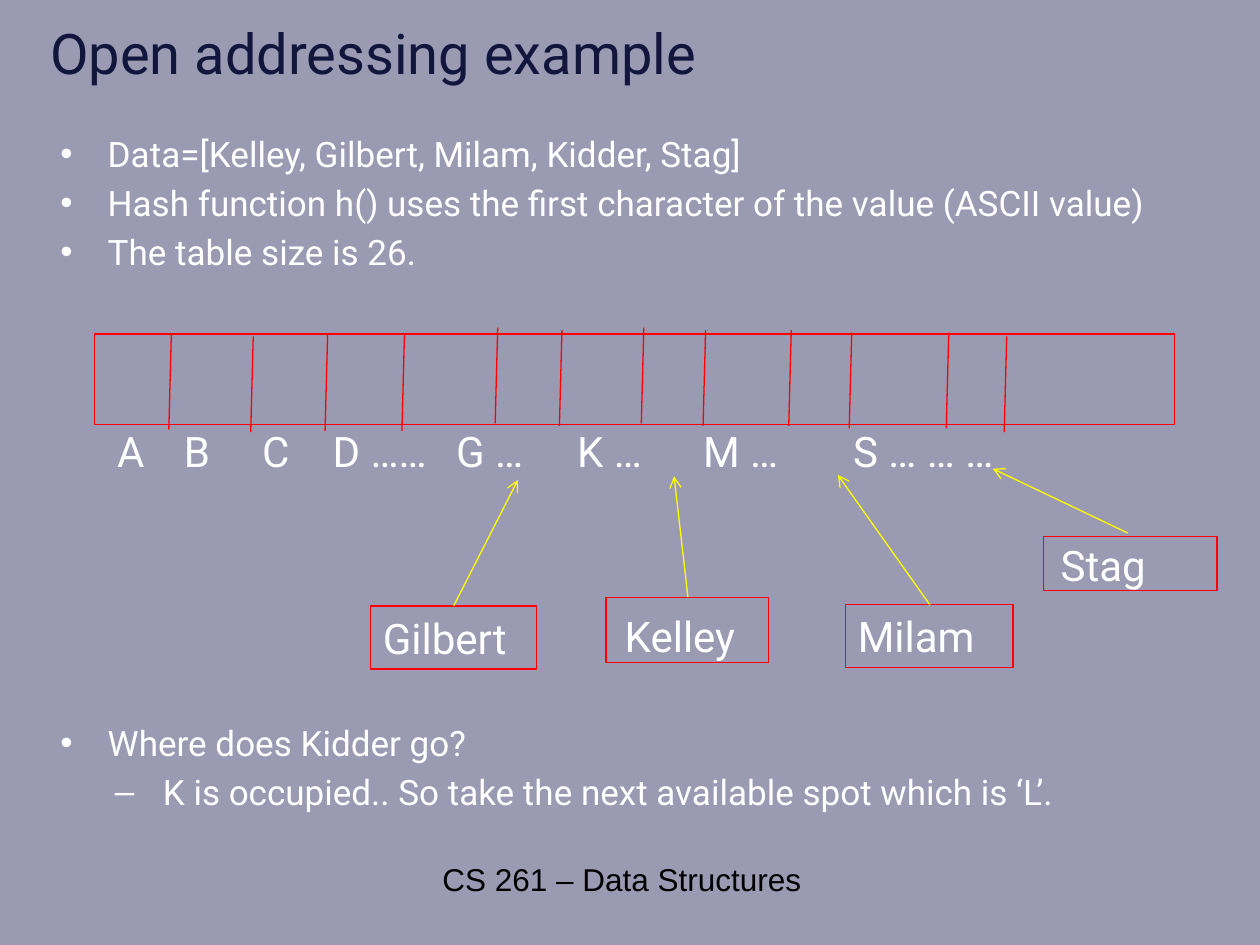
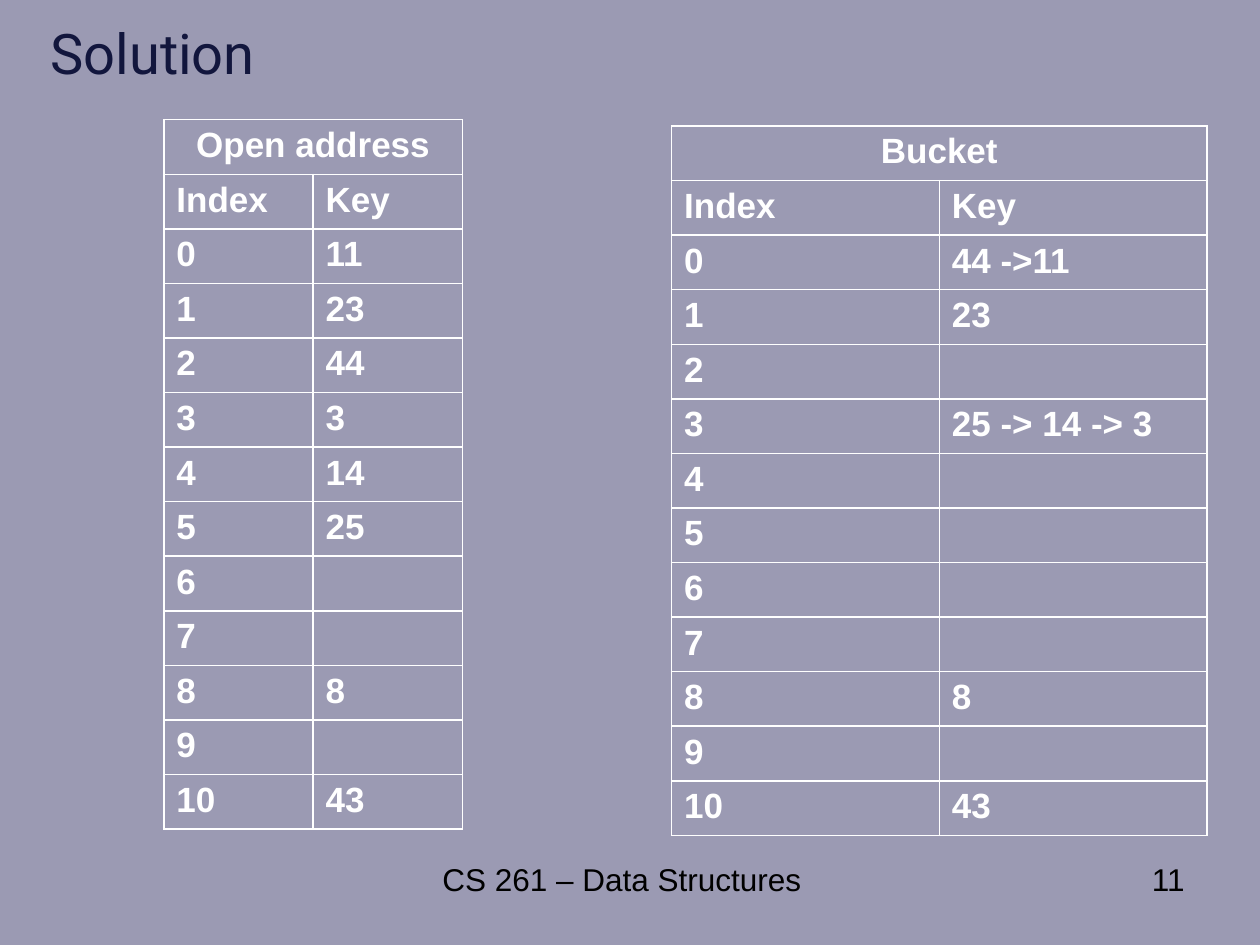
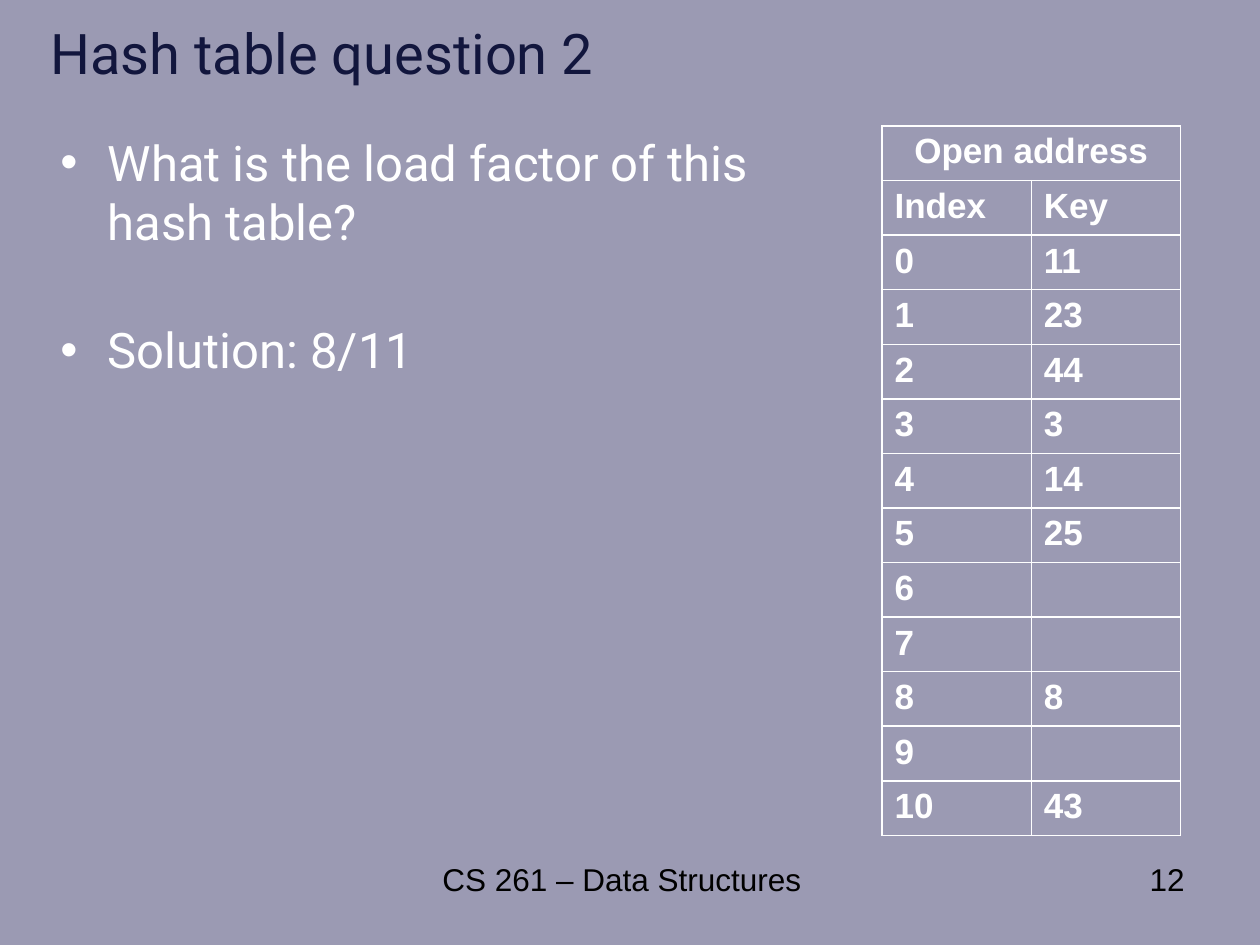
from lxml.etree import SubElement as Sub
from pptx import Presentation as Deck
from pptx.dml.color import RGBColor
from pptx.enum.shapes import MSO_CONNECTOR as Wire, MSO_SHAPE as Form
from pptx.enum.text import MSO_ANCHOR as Anchor, MSO_AUTO_SIZE as Fit, PP_ALIGN as Align
from pptx.oxml import parse_xml as parse
from pptx.oxml.ns import nsdecls, qn
from pptx.util import Inches, Pt

hue = RGBColor.from_string
BACK, NAVY, WHITE, BLACK = "9B9AB3", "12163D", "FFFFFF", "000000"
RED, GOLD = "FF0000", "FFFF00"
HEAD = {"size": Pt(32), "name": "Roboto"}
LIST = {"size": Pt(20), "name": "Roboto"}
LARGE = {"size": Pt(28), "name": "Roboto"}
LABEL = {"size": Pt(24), "name": "Roboto"}
FOOT = {"size": Pt(18), "name": "Arial"}
CELL = {"size": Pt(20), "name": "Arial", "bold": True}


def write(frame, lines, font, tone, align=Align.LEFT):
    for num, line in enumerate(lines):
        para = frame.paragraphs[0] if num == 0 else frame.add_paragraph()
        para.alignment = align
        run = para.add_run()
        run.text = line
        run.font.color.rgb = hue(tone)
        for key, val in font.items():
            setattr(run.font, key, val)
    return frame.paragraphs


def place(shape, spot):
    for key, val in zip(("left", "top", "width", "height"), spot):
        setattr(shape, key, Inches(val))
    frame = shape.text_frame
    frame.word_wrap = True
    frame.auto_size = Fit.NONE
    return frame


deck = Deck()
deck.slide_width, deck.slide_height = Inches(10), Inches(7.5)
ground = deck.slide_master.background.fill
ground.solid()
ground.fore_color.rgb = hue(BACK)

pages = []
for title, kind, num in (
    ("Open addressing example", 1, ""),
    ("Solution", 5, "11"),
    ("Hash table question 2", 1, "12"),
):
    page = deck.slides.add_slide(deck.slide_layouts[kind])
    frame = place(page.shapes.title, (0.3, 0.08, 9, 0.67))
    frame.vertical_anchor = Anchor.MIDDLE
    write(frame, [title], HEAD, NAVY)
    for text, spot, align in (
        ("CS 261 – Data Structures", (3.04, 6.78, 3.79, 0.52), Align.CENTER),
        (num, (7.17, 6.78, 2.33, 0.52), Align.RIGHT),
    ):
        if text:
            box = page.shapes.add_textbox(0, 0, 0, 0)
            write(place(box, spot), [text], FOOT, BLACK, align)
    pages.append(page)
first, second, third = pages

body = place(first.placeholders[1], (0.38, 1, 9.22, 5.65))
paras = write(body, [
    "Data=[Kelley, Gilbert, Milam, Kidder, Stag]",
    "Hash function h() uses the first character of the value (ASCII value)",
    "The table size is 26.",
    "Where does Kidder go?",
    "K is occupied.. So take the next available spot which is ‘L’.",
], LIST, WHITE)
paras[3].space_before = Pt(256.5)
paras[4].level = 1
paras[4]._p.get_or_add_pPr().set("indent", str(-Inches(0.38)))

body = place(third.placeholders[1], (0.38, 1, 6.03, 5.5))
paras = write(body, [
    "What is the load factor of this hash table?",
    "Solution: 8/11",
], LARGE, WHITE)
paras[1].space_before = Pt(40)

inset = (0.1, 0.05)
for spot, name, name_at in (
    ((0.75, 2.65, 8.57, 0.72), "", None),
    ((4.81, 4.74, 1.29, 0.52), "Kelley", (4.86, 4.8, 1.22, 0.5)),
    ((2.94, 4.81, 1.32, 0.5), "Gilbert", None),
    ((6.71, 4.8, 1.33, 0.5), "Milam", None),
    ((8.28, 4.26, 1.38, 0.43), "Stag", (8.32, 4.23, 1.26, 0.5)),
):
    box = first.shapes.add_shape(Form.RECTANGLE, 0, 0, 0, 0)
    frame = place(box, spot)
    box.shadow.inherit = False
    box.fill.background()
    box.line.color.rgb = hue(RED)
    box.line.width = Pt(0.75)
    if name_at:
        frame = place(first.shapes.add_textbox(0, 0, 0, 0), name_at)
    frame.vertical_anchor = Anchor.TOP
    if name:
        write(frame, [name], LABEL, WHITE)

marks = place(first.shapes.add_textbox(0, 0, 0, 0), (0.75, 3.33, 8.61, 0.5))
marks.margin_left = Inches(0.18)
slots = ["A", "B", "C", "D ……", "G …", "K …", "M …", "S … … …"]
row = write(marks, ["\t".join(slots)], LABEL, WHITE)[0]
tabs = Sub(row._p.get_or_add_pPr(), qn("a:tabLst"))
for stop in (0.53, 1.15, 1.71, 2.69, 3.65, 4.65, 5.84):
    Sub(tabs, qn("a:tab"), pos=str(Inches(stop)), algn="l")

walls = [
    (1.36, 2.65), (2.01, 2.67), (2.6, 2.66), (3.21, 2.66),
    (3.95, 2.6), (4.46, 2.62), (5.11, 2.6), (5.6, 2.62),
    (6.28, 2.62), (6.76, 2.64), (7.53, 2.64), (7.99, 2.67),
]
lines = [(x, y, x - 0.02, y + 0.76, RED) for x, y in walls]
lines += [
    (5.46, 4.74, 5.35, 3.78, GOLD),
    (3.6, 4.81, 4.11, 3.81, GOLD),
    (7.38, 4.8, 6.65, 3.77, GOLD),
    (8.95, 4.23, 7.88, 3.72, GOLD),
]
for *ends, tone in lines:
    wire = first.shapes.add_connector(Wire.STRAIGHT, *map(Inches, ends))
    wire.line.color.rgb = hue(tone)
    wire.line.width = Pt(0.75)
    props = wire._element.spPr
    if tone == GOLD:
        Sub(props.find(qn("a:ln")), qn("a:tailEnd"), type="arrow")
    Sub(props, qn("a:effectLst"))

probed = ["11", "23", "44", "3", "14", "25", "", "", "8", "", "43"]
chains = ["44 ->11", "23", "", "25 -> 14 -> 3", "", "", "", "", "8", "", "43"]
for page, left, top, width, name, keys in (
    (second, 1.3, 0.95, 2.37, "Open address", probed),
    (second, 5.33, 1, 4.25, "Bucket", chains),
    (third, 7, 1, 2.37, "Open address", probed),
):
    rows = [(name, ""), ("Index", "Key")]
    rows += [(str(num), key) for num, key in enumerate(keys)]
    spot = map(Inches, (left, top, width, 5.63))
    grid = page.shapes.add_table(len(rows), 2, *spot).table
    grid.first_row = grid.horz_banding = False
    grid.cell(0, 0).merge(grid.cell(0, 1))
    for r, texts in enumerate(rows):
        for c, text in enumerate(texts):
            cell = grid.cell(r, c)
            cell.fill.background()
            props = cell._tc.get_or_add_tcPr()
            for num, side in enumerate("LRTB"):
                props.insert(num, parse(
                    f'<a:ln{side} {nsdecls("a")} w="{Pt(1)}"><a:solidFill>'
                    f'<a:srgbClr val="{WHITE}"/></a:solidFill></a:ln{side}>'))
            if text:
                align = Align.CENTER if r == 0 else Align.LEFT
                write(cell.text_frame, [text], CELL, WHITE, align)

deck.save("out.pptx")
